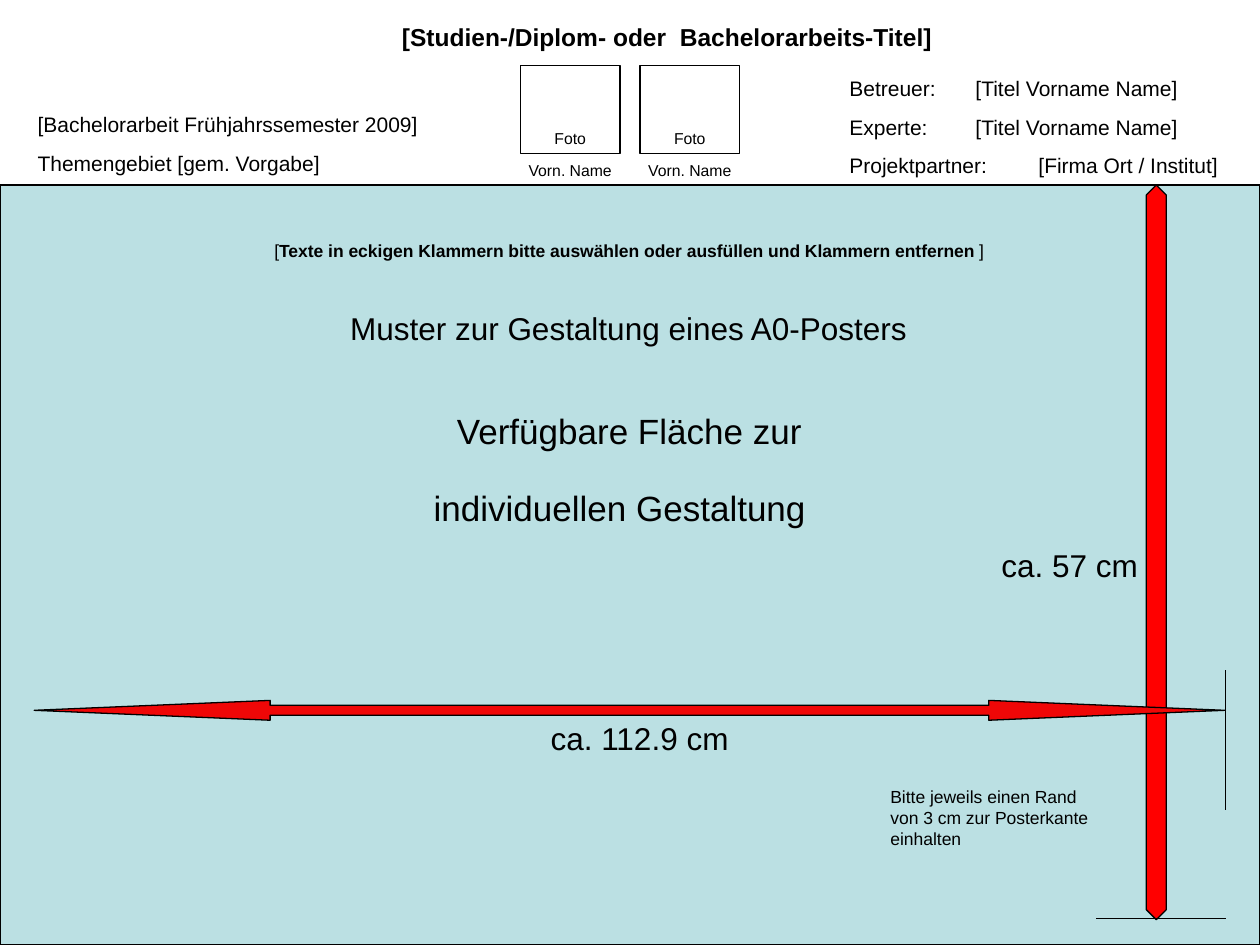
from typing import NamedTuple

from lxml import etree
from pptx import Presentation
from pptx.dml.color import RGBColor
from pptx.enum import shapes, text
from pptx.oxml import ns
from pptx.util import Cm, Pt

FONT = "Arial"
BLACK = "000000"
LEFT, CENTER, RIGHT = text.PP_ALIGN.LEFT, text.PP_ALIGN.CENTER, text.PP_ALIGN.RIGHT


class Box(NamedTuple):
    left: float
    top: float
    width: float
    height: float


class Label(NamedTuple):
    box: Box
    lines: list[str]
    size: float
    align: text.PP_ALIGN = LEFT
    gap: float = 0
    wrap: bool = False


class Arrow(NamedTuple):
    preset: shapes.MSO_SHAPE
    box: Box
    color: str
    head: float


class EdgeMark(NamedTuple):
    x1: float
    y1: float
    x2: float
    y2: float


PHOTO_BOX = Box(10.49, 1.32, 2.01, 1.78)
PHOTO_PITCH = 2.41
CAPTION_TOP, CAPTION_HEIGHT = 3.12, 0.64
POSTER_AREA = Box(0, 3.73, 25.4, 15.32)
TAB_STOP = 3.0

TITLE = Label(Box(6.6, 0.33, 13.7, 0.84),
              ["[Studien-/Diplom- oder  Bachelorarbeits-Titel]"], 14, CENTER, wrap=True)
SUPERVISION = Label(Box(16.87, 1.4, 8.13, 2.31),
                    ["Betreuer:\t[Titel Vorname Name]",
                     "Experte:\t[Titel Vorname Name]",
                     "Projektpartner:\t[Firma Ort / Institut]"], 12, gap=7.5, wrap=True)
LABELS = [
    Label(Box(0.51, 2.13, 9.83, 1.55),
          ["[Bachelorarbeit Frühjahrssemester 2009]", "Themengebiet [gem. Vorgabe]"],
          12, gap=7.5, wrap=True),
    Label(Box(17.7, 15.72, 4.5, 1.52),
          ["Bitte jeweils einen Rand", "von 3 cm zur Posterkante", "einhalten"], 10),
    Label(Box(10.85, 14.38, 4.14, 1.02), ["ca. 112.9 cm"], 18),
    Label(Box(6.81, 6.1, 11.76, 1.02), ["Muster zur Gestaltung eines A0-Posters"], 18),
]
HEADLINE = Label(Box(6.43, 8.13, 12.52, 2.79),
                 ["Verfügbare Fläche zur", "individuellen Gestaltung"], 20, CENTER, wrap=True)
HINT = Label(Box(5.28, 4.72, 14.83, 0.69), ["["], 10)
HEIGHT_ARROW = Arrow(shapes.MSO_SHAPE.UP_DOWN_ARROW, Box(23.11, 3.73, 0.4, 14.81), "FF0000", 7.44)
WIDTH_ARROW = Arrow(shapes.MSO_SHAPE.LEFT_RIGHT_ARROW, Box(0.69, 14.12, 24, 0.4), "EF0707", 11.89)
EDGE_MARKS = [EdgeMark(24.71, 13.51, 24.71, 16.33), EdgeMark(22.1, 18.52, 24.71, 18.52)]


def rgb(value: str) -> RGBColor:
    return RGBColor.from_string(value)


def lengths(box: Box) -> list[Cm]:
    return [Cm(value) for value in box]


def outline(line) -> None:
    line.color.rgb = rgb(BLACK)
    line.width = Pt(0.75)


def write(frame, label: Label, bold: bool = False) -> None:
    frame.word_wrap = label.wrap
    frame.auto_size = text.MSO_AUTO_SIZE.NONE
    for number, line in enumerate(label.lines):
        paragraph = frame.add_paragraph() if number else frame.paragraphs[0]
        paragraph.text = line
        paragraph.alignment = label.align
        paragraph.space_before = Pt(label.gap)
        paragraph.font.name = FONT
        paragraph.font.size = Pt(label.size)
        paragraph.font.bold = bold
        paragraph.font.color.rgb = rgb(BLACK)


def place(placeholder, label: Label, bold: bool = False) -> None:
    placeholder.left, placeholder.top, placeholder.width, placeholder.height = lengths(label.box)
    write(placeholder.text_frame, label, bold)


def add_label(slide, label: Label):
    frame = slide.shapes.add_textbox(*lengths(label.box)).text_frame
    write(frame, label)
    return frame


def add_block(slide, preset: shapes.MSO_SHAPE, box: Box, color: str | None):
    block = slide.shapes.add_shape(preset, *lengths(box))
    block.shadow.inherit = False
    if color:
        block.fill.solid()
        block.fill.fore_color.rgb = rgb(color)
    else:
        block.fill.background()
    outline(block.line)
    return block


def add_arrow(slide, arrow: Arrow) -> None:
    block = add_block(slide, arrow.preset, arrow.box, arrow.color)
    block.adjustments[0] = 0.5
    block.adjustments[1] = arrow.head


def add_edge_mark(slide, mark: EdgeMark) -> None:
    edge = slide.shapes.add_connector(shapes.MSO_CONNECTOR.STRAIGHT, *lengths(mark))
    outline(edge.line)
    etree.SubElement(edge._element.spPr, ns.qn("a:effectLst"))


def add_photo(slide, left: float) -> None:
    box = PHOTO_BOX._replace(left=left)
    photo = add_block(slide, shapes.MSO_SHAPE.RECTANGLE, box, None)
    photo.text_frame.vertical_anchor = text.MSO_ANCHOR.BOTTOM
    write(photo.text_frame, Label(box, ["Foto"], 9, CENTER, wrap=True))
    caption = box._replace(top=CAPTION_TOP, height=CAPTION_HEIGHT)
    add_label(slide, Label(caption, ["Vorn. Name"], 9, CENTER))


def format_as_tabbed_list(paragraph) -> None:
    properties = paragraph._p.get_or_add_pPr()
    properties.set("marL", "0")
    properties.set("indent", "0")
    tabs = etree.Element(ns.qn("a:tabLst"))
    etree.SubElement(tabs, ns.qn("a:tab"), pos=str(Cm(TAB_STOP)), algn="l")
    default_font = properties.find(ns.qn("a:defRPr"))
    default_font.addprevious(etree.Element(ns.qn("a:buNone")))
    default_font.addprevious(tabs)


def main() -> None:
    presentation = Presentation()
    presentation.slide_width, presentation.slide_height = Cm(25.4), Cm(19.05)
    slide = presentation.slides.add_slide(presentation.slide_layouts[1])

    place(slide.shapes.title, TITLE, bold=True)
    slide.shapes.title.text_frame.vertical_anchor = text.MSO_ANCHOR.MIDDLE
    supervision = slide.placeholders[1]
    place(supervision, SUPERVISION)
    for paragraph in supervision.text_frame.paragraphs:
        format_as_tabbed_list(paragraph)

    area = add_block(slide, shapes.MSO_SHAPE.RECTANGLE, POSTER_AREA, "BBE0E3")
    area.text_frame.margin_right = Cm(2.46)
    area.text_frame.vertical_anchor = text.MSO_ANCHOR.MIDDLE
    write(area.text_frame, Label(POSTER_AREA, ["ca. 57 cm"], 18, RIGHT, wrap=True))

    add_arrow(slide, HEIGHT_ARROW)
    for column in range(2):
        add_photo(slide, PHOTO_BOX.left + column * PHOTO_PITCH)
    for label in LABELS:
        add_label(slide, label)

    headline = add_label(slide, HEADLINE)
    spacer = headline.paragraphs[1].add_run()
    spacer.text = " "
    spacer.font.size = Pt(40)

    for mark in EDGE_MARKS:
        add_edge_mark(slide, mark)
    add_arrow(slide, WIDTH_ARROW)

    hint = add_label(slide, HINT).paragraphs[0]
    request = hint.add_run()
    request.text = "Texte in eckigen Klammern bitte auswählen oder ausfüllen und Klammern entfernen "
    request.font.bold = True
    hint.add_run().text = "]"

    presentation.save("out.pptx")


if __name__ == "__main__":
    main()
